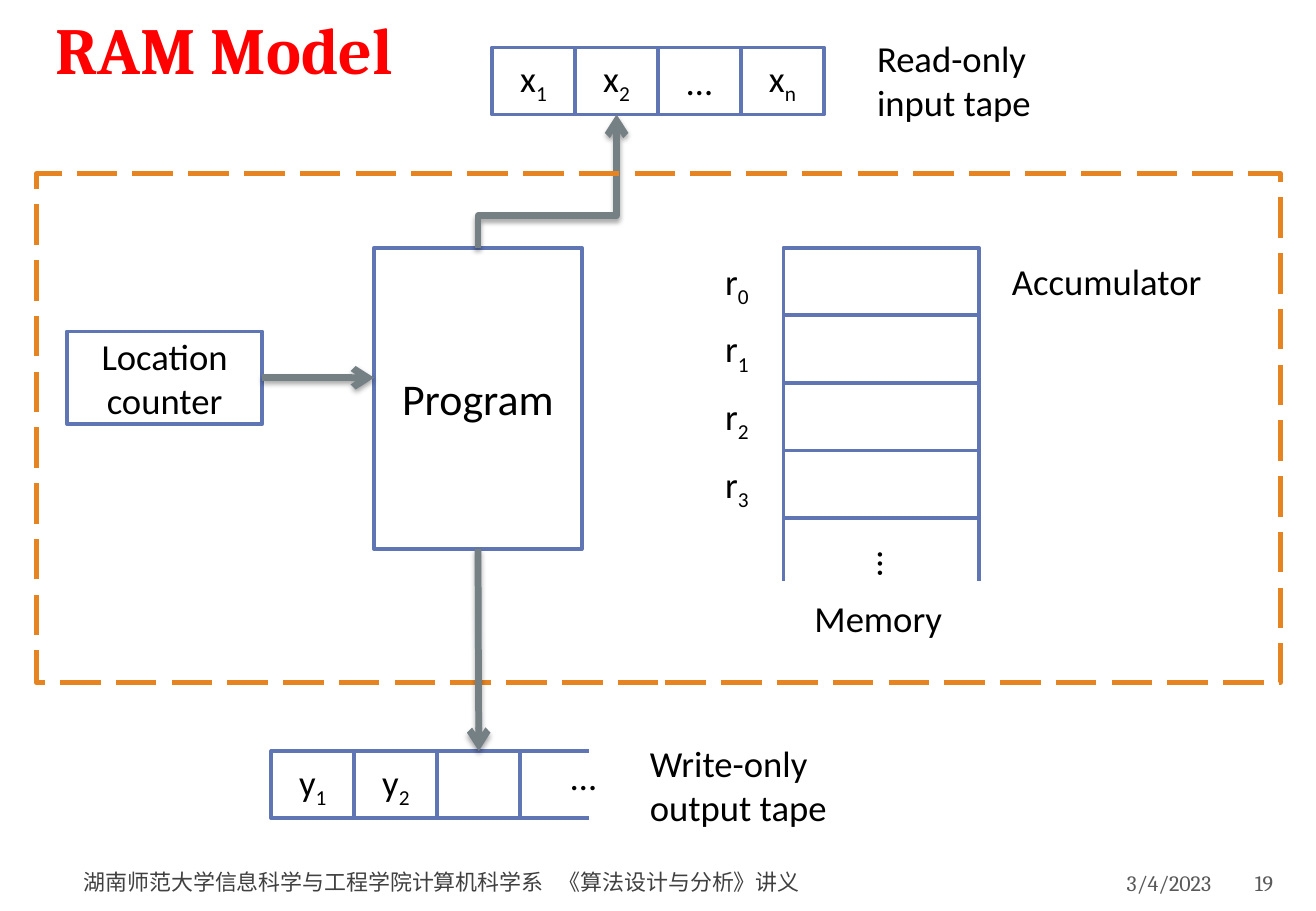
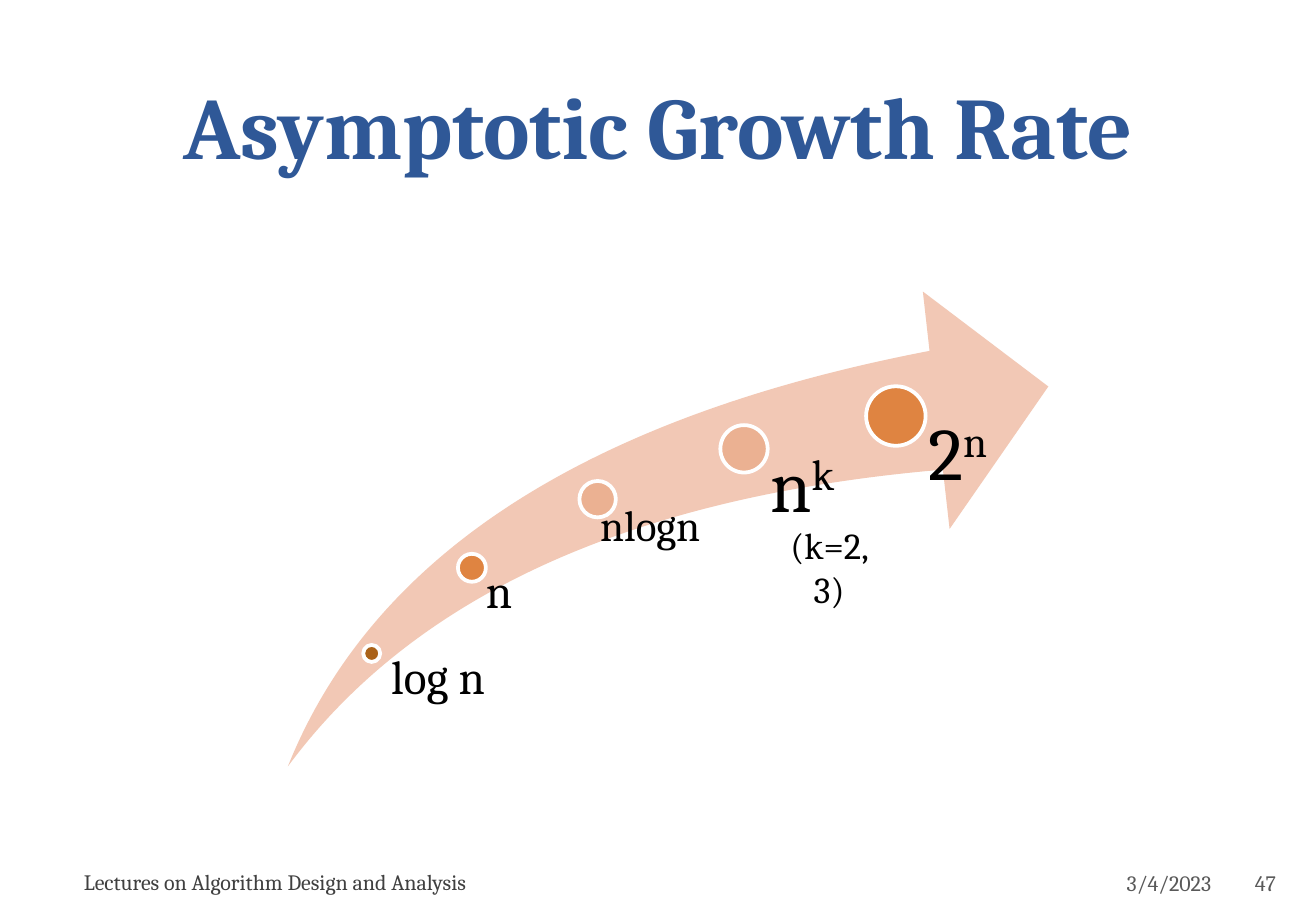
from lxml.etree import SubElement
from pptx import Presentation
from pptx.dml.color import RGBColor
from pptx.enum.dml import MSO_LINE
from pptx.enum.shapes import MSO_CONNECTOR as Connector, MSO_SHAPE as Shape
from pptx.enum.text import MSO_ANCHOR as Anchor, MSO_AUTO_SIZE as AutoSize, PP_ALIGN as Align
from pptx.oxml.ns import qn
from pptx.util import Inches, Pt

COLUMNS, ROWS = 130, 90
BLUE, GRAY, ORANGE = "6076B4", "758085", "E68422"
BLACK, WHITE = "000000", "FFFFFF"
DATE = "3/4/2023"


def color(value):
    return RGBColor.from_string(value)


class Deck:
    body_font, serif_font = "Calibri", "Cambria"
    label_size, footer_size = 21.7, 13
    default_insets = (1.2, 0.6, 1.2, 0.6)

    def __init__(self):
        self.presentation = Presentation()
        self.presentation.slide_width = Inches(10.83)
        self.presentation.slide_height = Inches(7.5)
        self.slide = None

    def x(self, columns):
        return round(self.presentation.slide_width * columns / COLUMNS)

    def y(self, rows):
        return round(self.presentation.slide_height * rows / ROWS)

    def box(self, area):
        left, top, width, height = area
        return self.x(left), self.y(top), self.x(width), self.y(height)

    def new_slide(self, title, area, size, title_color, footer, number):
        layout = self.presentation.slide_layouts[5]
        self.slide = self.presentation.slides.add_slide(layout)
        shape = self.slide.shapes.title
        shape.left, shape.top, shape.width, shape.height = self.box(area)
        self.set_text(shape, title, size=size, font=self.serif_font, fill=title_color,
                      bold=True, align=Align.CENTER, anchor=Anchor.BOTTOM)
        shape.text_frame.paragraphs[0].line_spacing = Pt(62.8)
        self.footer(DATE, (90.6, 84.84, 29.64, 4.8), "595959", (1.2, 0.6, 0.6, 0.6), Align.RIGHT)
        self.footer(footer, (7.68, 84.72, 73.68, 4.8), "404040", (0.6, 0.6, 1.2, 0.6))
        self.footer(number, (123.6, 84.84, 5.88, 4.8), "595959", (0.36, 0.6, 0.6, 0.6))

    def footer(self, text, area, fill, insets, align=Align.LEFT):
        shape = self.text(text, area, size=self.footer_size, font=self.serif_font,
                          fill=fill, insets=insets, align=align, anchor=Anchor.MIDDLE)
        if "\t" in text:
            properties = shape.text_frame.paragraphs[0]._p.get_or_add_pPr()
            tabs = SubElement(properties, qn("a:tabLst"))
            SubElement(tabs, qn("a:tab"), pos=str(Inches(3.91)), algn="l")

    def set_text(self, shape, text, shifted="", baseline=-25, size=label_size, font=body_font,
                 fill=BLACK, bold=False, align=Align.LEFT, anchor=Anchor.TOP,
                 insets=default_insets, wrap=True):
        frame = shape.text_frame
        frame.auto_size = AutoSize.NONE
        frame.word_wrap = wrap
        frame.vertical_anchor = anchor
        frame.margin_left, frame.margin_top, frame.margin_right, frame.margin_bottom = self.box(insets)
        paragraph = frame.paragraphs[0]
        paragraph.text = text
        paragraph.alignment = align
        if shifted:
            run = paragraph.add_run()
            run.text = shifted
            run._r.get_or_add_rPr().set("baseline", str(baseline * 1000))
        for run in paragraph.runs:
            run.font.size = Pt(size)
            run.font.name = font
            run.font.bold = bold
            run.font.color.rgb = color(fill)

    def text(self, text, area, shifted="", rotation=0, **style):
        shape = self.slide.shapes.add_textbox(*self.box(area))
        shape.rotation = rotation
        self.set_text(shape, text, shifted, **style)
        return shape

    def shape(self, kind, area, fill=None, line=None, width=2.25, dash=None):
        shape = self.slide.shapes.add_shape(kind, *self.box(area))
        shape.shadow.inherit = False
        if fill:
            shape.fill.solid()
            shape.fill.fore_color.rgb = color(fill)
        else:
            shape.fill.background()
        if line:
            shape.line.color.rgb = color(line)
            shape.line.width = Pt(width)
            shape.line.dash_style = dash
        else:
            shape.line.fill.background()
        return shape

    def cell(self, area, text="", shifted="", **style):
        shape = self.shape(Shape.RECTANGLE, area, WHITE, BLUE)
        if text:
            self.set_text(shape, text, shifted, align=Align.CENTER, anchor=Anchor.MIDDLE, **style)
        return shape

    def line(self, start, end, stroke=BLUE, width=2.25, kind=Connector.STRAIGHT):
        connector = self.slide.shapes.add_connector(
            kind, self.x(start[0]), self.y(start[1]), self.x(end[0]), self.y(end[1]))
        connector.line.color.rgb = color(stroke)
        connector.line.width = Pt(width)
        SubElement(connector._element.spPr, qn("a:effectLst"))
        return connector

    def arrow(self, start, end, source=None, target=None, kind=Connector.STRAIGHT):
        connector = self.line(start, end, GRAY, 4, kind)
        if source:
            connector.begin_connect(*source)
        if target:
            connector.end_connect(*target)
        properties = connector._element.spPr
        SubElement(properties.find(qn("a:ln")), qn("a:tailEnd"), type="arrow")
        shadow = SubElement(properties.find(qn("a:effectLst")), qn("a:outerShdw"),
                            blurRad=str(Pt(3.1)), dist=str(Pt(1.8)), dir="5400000", rotWithShape="0")
        tint = SubElement(shadow, qn("a:srgbClr"), val=BLACK)
        SubElement(tint, qn("a:alpha"), val="35000")
        return connector

    def rising_elbow(self, start, end, source, target, bend):
        connector = self.arrow(start, end, source, target, Connector.ELBOW)
        left, top, width, height = connector.left, connector.top, connector.width, connector.height
        connector.left = left + (width - height) // 2
        connector.top = top + (height - width) // 2
        connector.width, connector.height = height, width
        properties = connector._element.spPr
        frame = properties.find(qn("a:xfrm"))
        for name, value in (("rot", "5400000"), ("flipH", "1"), ("flipV", "1")):
            frame.set(name, value)
        guides = properties.find(qn("a:prstGeom")).get_or_add_avLst()
        SubElement(guides, qn("a:gd"), name="adj1", fmla=f"val {round(bend * 100000)}")


def ram_model(deck):
    deck.new_slide("RAM Model", (-0.24, 0, 44.76, 9.24), 39, "FF0000",
                   "湖南师范大学信息科学与工程学院计算机科学系\t《算法设计与分析》讲义", "19")
    cell_width, cell_height = 8.2, 6.64
    input_left, input_top = 48.6, 4.68
    output_left, output_top = 26.8, 74.2

    def tape(left, top, labels):
        return [deck.cell((left + i * cell_width, top, cell_width, cell_height), *label)
                for i, label in enumerate(labels)]

    inputs = tape(input_left, input_top, [("x", "1"), ("x", "2"), ("…",), ("x", "n")])
    deck.text("Read-only input tape", (85.44, 3, 18.48, 9.96))
    outputs = tape(output_left, output_top, [("y", "1"), ("y", "2"), ()])
    for y in (output_top, output_top + cell_height):
        deck.line((51, y), (58.2, y))
    deck.text("…", (55.2, 73.92, 4.92, 5.64), wrap=False)

    program = deck.cell((36.96, 24.48, 20.52, 29.76), "Program", size=26)
    program_middle = 47.22
    deck.rising_elbow((program_middle, 24.48),
                      (input_left + 1.5 * cell_width, input_top + cell_height),
                      (program, 0), (inputs[1], 2), 0.24)

    memory_left, memory_top, memory_width, pitch = 77.4, 24.48, 19.32, 6.68
    for i in range(4):
        top = memory_top + i * pitch
        deck.cell((memory_left, top, memory_width, pitch))
        deck.text("r", (70.44, top + 0.48, 5.52, 5.64), str(i))
    for x in (memory_left, memory_left + memory_width):
        deck.line((x, 57.36), (x, memory_top + 4 * pitch))
    deck.text("…", (85.68, 52.92, 4.92, 5.64), rotation=90, wrap=False)
    deck.text("Accumulator", (98.76, 24.96, 23.52, 5.64))
    deck.shape(Shape.RECTANGLE, (3.6, 17.16, 122.88, 50.28), line=ORANGE, width=3,
               dash=MSO_LINE.LONG_DASH)
    deck.text("Memory", (75, 58.32, 23.52, 5.64), align=Align.CENTER)

    counter = deck.cell((6.6, 32.76, 19.32, 9.12), "Location counter")
    deck.arrow((25.92, 37.32), (36.96, 37.32), source=(counter, 3))
    deck.arrow((program_middle, 54.24), (output_left + 2.5 * cell_width, output_top),
               (program, 2), (outputs[2], 0))
    deck.text("Write-only output tape", (63, 72.6, 21.24, 9.96))


def growth_rate(deck):
    deck.new_slide("Asymptotic Growth Rate", (6.48, 4.32, 117, 13.8), 52, "2F5897",
                   "Lectures on Algorithm Design and Analysis", "47")
    swoosh = deck.shape(Shape.SWOOSH_ARROW, (28.44, 28.8, 75.12, 46.92), "F2C8B5")
    swoosh.adjustments[0] = swoosh.adjustments[1] = 0.25
    label_bottom = 75.72
    milestones = [
        (36.72, 64.56, 1.68, "AA6219", 37.68, 16.08, 0.96, "log n", "", 28),
        (46.62, 56.1, 2.76, "DF8441", 46.56, 12.48, 1.44, "n", "", 28),
        (59.04, 49.32, 3.6, "EBB192", 57.36, 17.88, 1.92, "", "nlogn", 44),
        (73.5, 44.34, 4.68, "EBB192", 73.56, 15, 2.52, "n", "k", 44),
        (88.5, 41.1, 5.88, "DF8441", 88.56, 15, 3.12, "2", "n", 44),
    ]
    for x, y, diameter, fill, left, width, inset, text, power, size in milestones:
        deck.shape(Shape.OVAL, (x - diameter / 2, y - diameter / 2, diameter, diameter), fill, WHITE)
        label = deck.text(text, (left, y, width, label_bottom - y), power, baseline=30,
                          size=size, font=deck.serif_font, insets=(inset, 0, 0, 0))
        label.text_frame.paragraphs[0].line_spacing = 0.9
    deck.text("(k=2, 3)", (75.24, 51.12, 13.32, 5.64), font=deck.serif_font, align=Align.CENTER)


def main():
    deck = Deck()
    ram_model(deck)
    growth_rate(deck)
    deck.presentation.save("out.pptx")


if __name__ == "__main__":
    main()
